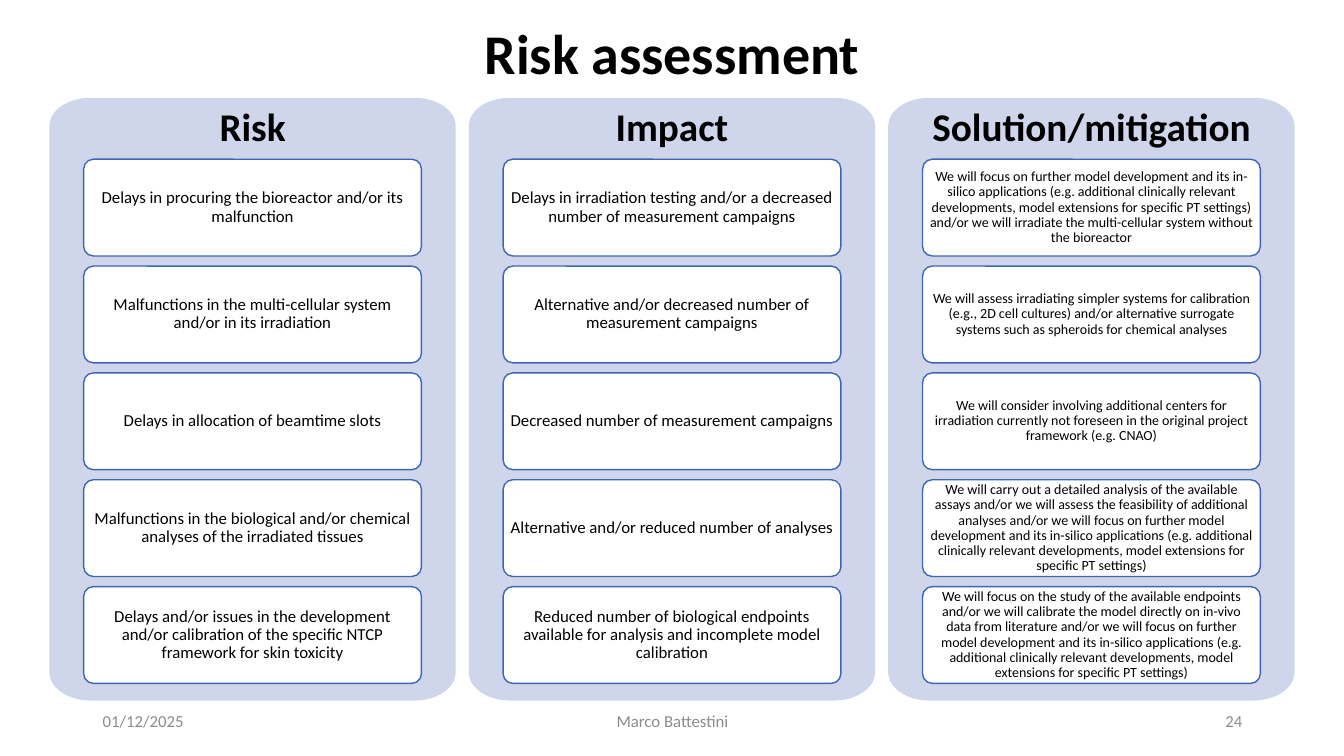
from math import cos, pi, sin

from pptx import Presentation
from pptx.dml.color import RGBColor
from pptx.enum.shapes import MSO_SHAPE as SHAPE
from pptx.enum.text import MSO_ANCHOR as ANCHOR, PP_ALIGN as ALIGN
from pptx.util import Inches, Pt

SLIDE_W, SLIDE_H = 13.33, 7.5
FONT = "Calibri"
PANEL_FILL, CARD_FILL, CARD_LINE = "CFD5EA", "FFFFFF", "3E67B2"
BLACK, GREY = "000000", "8C8C8C"

PANEL_X, PANEL_Y, PANEL_W, PANEL_H = 0.49, 0.97, 4.03, 5.98
PANEL_PITCH = 4.16
CORNER_X, CORNER_Y = 0.41, 0.28
CARD_DX, CARD_DY, CARD_W, CARD_H = 0.34, 0.61, 3.35, 0.96
CARD_PITCH = 1.06
HEADING_H = 0.57

COLUMNS = [
    ("Risk", 0.86, 12, [
        "Delays in procuring the bioreactor and/or its malfunction",
        "Malfunctions in the multi-cellular system and/or in its irradiation",
        "Delays in allocation of beamtime slots",
        "Malfunctions in the biological and/or chemical analyses of the irradiated tissues",
        "Delays and/or issues in the development and/or calibration of the specific "
        "NTCP framework for skin toxicity",
    ]),
    ("Impact", 1.33, 12, [
        "Delays in irradiation testing and/or a decreased number of measurement campaigns",
        "Alternative and/or decreased number of measurement campaigns",
        "Decreased number of measurement campaigns",
        "Alternative and/or reduced number of analyses",
        "Reduced number of biological endpoints available for analysis and incomplete "
        "model calibration",
    ]),
    ("Solution/mitigation", 3.4, 10, [
        "We will focus on further model development and its in-silico applications "
        "(e.g. additional clinically relevant developments, model extensions for specific "
        "PT settings) and/or we will irradiate the multi-cellular system without the bioreactor",
        "We will assess irradiating simpler systems for calibration (e.g., 2D cell cultures) "
        "and/or alternative surrogate systems such as spheroids for chemical analyses",
        "We will consider involving additional centers for irradiation currently not foreseen "
        "in the original project framework (e.g. CNAO)",
        "We will carry out a detailed analysis of the available assays and/or we will assess "
        "the feasibility of additional analyses and/or we will focus on further model "
        "development and its in-silico applications (e.g. additional clinically relevant "
        "developments, model extensions for specific PT settings)",
        "We will focus on the study of the available endpoints and/or we will calibrate the "
        "model directly on in-vivo data from literature and/or we will focus on further model "
        "development and its in-silico applications (e.g. additional clinically relevant "
        "developments, model extensions for specific PT settings)",
    ]),
]


def color(value):
    return RGBColor.from_string(value)


def inches(*values):
    return [Inches(v) for v in values]


def write(sp, text, size=12, fill=BLACK, bold=False, align=ALIGN.CENTER,
          anchor=ANCHOR.MIDDLE, spacing=1.0, inset=(0.1, 0.05), wrap=True):
    tf = sp.text_frame
    tf.word_wrap = wrap
    tf.vertical_anchor = anchor
    tf.margin_left = tf.margin_right = Inches(inset[0])
    tf.margin_top = tf.margin_bottom = Inches(inset[1])
    p = tf.paragraphs[0]
    p.alignment = align
    p.line_spacing = spacing
    r = p.add_run()
    r.text = text
    r.font.name = FONT
    r.font.size = Pt(size)
    r.font.bold = bold
    r.font.color.rgb = color(fill)


def add_text(slide, box, text, **fmt):
    write(slide.shapes.add_textbox(*inches(*box)), text, **fmt)


def add_panel(slide, box, steps=16):
    x, y, w, h = box
    points = []
    corners = [(x + w - CORNER_X, y + h - CORNER_Y), (x + CORNER_X, y + h - CORNER_Y),
               (x + CORNER_X, y + CORNER_Y), (x + w - CORNER_X, y + CORNER_Y)]
    for quarter, (cx, cy) in enumerate(corners):
        for step in range(steps + 1):
            angle = (quarter + step / steps) * pi / 2
            points.append(inches(cx + CORNER_X * cos(angle), cy + CORNER_Y * sin(angle)))
    outline = slide.shapes.build_freeform(*points[0])
    outline.add_line_segments(points[1:], close=True)
    sp = outline.convert_to_shape()
    sp.shadow.inherit = False
    sp.fill.solid()
    sp.fill.fore_color.rgb = color(PANEL_FILL)
    sp.line.fill.background()


def add_card(slide, box, text, size):
    sp = slide.shapes.add_shape(SHAPE.ROUNDED_RECTANGLE, *inches(*box))
    sp.adjustments[0] = 0.1
    sp.shadow.inherit = False
    sp.fill.solid()
    sp.fill.fore_color.rgb = color(CARD_FILL)
    sp.line.color.rgb = color(CARD_LINE)
    sp.line.width = Pt(1)
    write(sp, text, size=size, spacing=0.9, inset=(0.04, 0.03))


def add_column(slide, box, heading, heading_w, size, cards):
    x, y, w, h = box
    add_panel(slide, box)
    for row, text in enumerate(cards):
        top = y + CARD_DY + row * CARD_PITCH
        add_card(slide, (x + CARD_DX, top, CARD_W, CARD_H), text, size)
    add_text(slide, (x + (w - heading_w) / 2, y, heading_w, HEADING_H), heading,
             size=28, bold=True, anchor=ANCHOR.TOP, wrap=False)


def add_footer(slide, box):
    x, y, w, h = box
    side, middle = 3, 4.5
    parts = [("01/12/2025", x, side, ALIGN.LEFT),
             ("Marco Battestini", x + (w - middle) / 2, middle, ALIGN.CENTER),
             ("24", x + w - side, side, ALIGN.RIGHT)]
    for text, left, width, align in parts:
        add_text(slide, (left, y, width, h), text, fill=GREY, align=align)


def main():
    prs = Presentation()
    prs.slide_width, prs.slide_height = inches(SLIDE_W, SLIDE_H)
    slide = prs.slides.add_slide(prs.slide_layouts[6])
    add_footer(slide, (0.92, 6.95, 11.5, 0.4))
    add_text(slide, (0, 0, SLIDE_W, 1.12), "Risk assessment",
             size=40, bold=True, spacing=0.9)
    for col, content in enumerate(COLUMNS):
        left = PANEL_X + col * PANEL_PITCH
        add_column(slide, (left, PANEL_Y, PANEL_W, PANEL_H), *content)
    prs.save("out.pptx")


if __name__ == "__main__":
    main()
